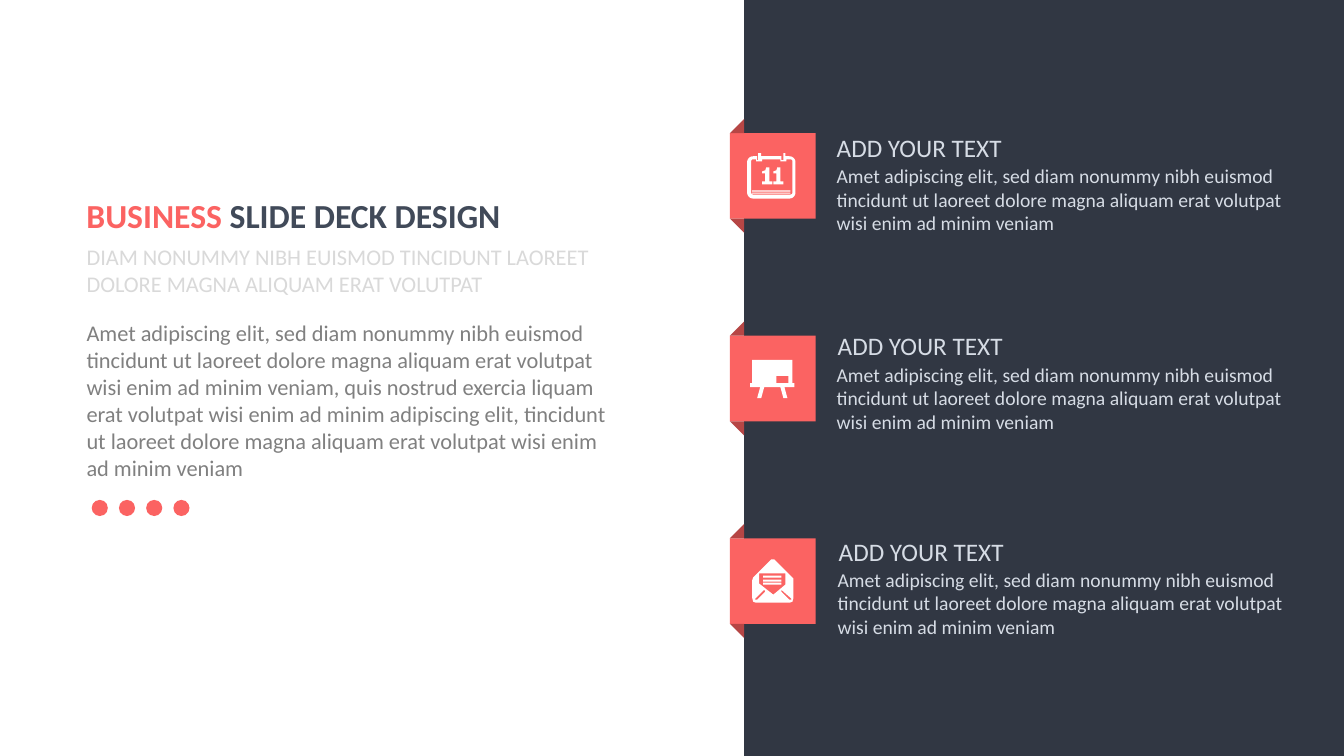
"""Build a split slide with an introduction and three ribbon items."""
from dataclasses import dataclass
from math import cos, radians, sin

from pptx import Presentation
from pptx import util as u
from pptx.dml.color import RGBColor
from pptx.enum import shapes, text
from pptx.shapes.autoshape import Shape
from pptx.slide import Slide

Point = tuple[float, float]
Contour = list[Point]

WHITE = RGBColor(0xFF, 0xFF, 0xFF)
CORAL = RGBColor(0xFB, 0x63, 0x62)
DARK_CORAL = RGBColor(0xB6, 0x46, 0x45)
NAVY = RGBColor(0x31, 0x37, 0x43)
SLATE = RGBColor(0x41, 0x4A, 0x59)
GRAY = RGBColor(0x80, 0x80, 0x80)
LIGHT_GRAY = RGBColor(0xD9, 0xD9, 0xD9)
PALE_BLUE = RGBColor(0xD6, 0xDC, 0xE5)

FONT = "Calibri"
RIBBON_LEFT, RIBBON_TOP, RIBBON_PITCH = 7.24, 1.32, 2.01
RIBBON_SIZE, FOLD_SIZE = 0.85, 0.14
DOT_COUNT, DOT_PITCH = 4, 0.27

SUBTITLE = "DIAM NONUMMY NIBH EUISMOD TINCIDUNT LAOREET DOLORE MAGNA ALIQUAM ERAT VOLUTPAT"
INTRO = (
    "Amet adipiscing elit, sed diam nonummy nibh euismod tincidunt ut laoreet dolore magna "
    "aliquam erat volutpat wisi enim ad minim veniam, quis nostrud exercia liquam erat volutpat "
    "wisi enim ad minim adipiscing elit, tincidunt ut laoreet dolore magna aliquam erat volutpat "
    "wisi enim ad minim veniam"
)
ITEM_HEADING = "ADD YOUR TEXT"
ITEM_BODY = (
    "Amet adipiscing elit, sed diam nonummy nibh euismod tincidunt ut laoreet dolore magna "
    "aliquam erat volutpat wisi enim ad minim veniam"
)


@dataclass(frozen=True)
class Span:
    """A stretch of text in one colour."""

    words: str
    color: RGBColor


@dataclass(frozen=True)
class Item:
    """A ribbon's text positions and the contours of its icon."""

    heading_at: Point
    body_at: Point
    icon: list[Contour]


def block(left: float, top: float, right: float, bottom: float) -> Contour:
    """Return the corners of a rectangle."""
    return [(left, top), (right, top), (right, bottom), (left, bottom)]


def rounded(left: float, top: float, right: float, bottom: float, radius: float, top_edge: Contour) -> Contour:
    """Return a rounded rectangle whose top edge takes extra points."""
    centers = block(left + radius, top + radius, right - radius, bottom - radius)
    corners = [
        [
            (x + radius * cos(radians(angle)), y + radius * sin(radians(angle)))
            for angle in range(180 + 90 * turn, 271 + 90 * turn, 15)
        ]
        for turn, (x, y) in enumerate(centers)
    ]
    return corners[0] + top_edge + corners[1] + corners[2] + corners[3]


def numeral_one(left: float) -> Contour:
    """Return the outline of the calendar's numeral one."""
    outline = [(0.04, 1.66), (0.07, 1.66), (0.07, 1.8), (0.1, 1.8), (0.1, 1.83), (0, 1.83),
               (0, 1.8), (0.03, 1.8), (0.03, 1.72), (0, 1.72), (0, 1.7), (0.03, 1.69)]
    return [(left + x, y) for x, y in outline]


CALENDAR = [
    rounded(7.41, 1.55, 7.89, 1.97, 0.06, [
        (7.51, 1.55), (7.51, 1.59), (7.52, 1.59), (7.52, 1.52), (7.55, 1.52), (7.55, 1.55),
        (7.75, 1.55), (7.75, 1.59), (7.77, 1.59), (7.77, 1.52), (7.79, 1.52), (7.79, 1.55)]),
    rounded(7.45, 1.58, 7.86, 1.93, 0.02, [
        (7.5, 1.58), (7.5, 1.6), (7.56, 1.6), (7.56, 1.58),
        (7.74, 1.58), (7.74, 1.6), (7.8, 1.6), (7.8, 1.58)]),
    *(numeral_one(left) for left in (7.56, 7.67)),
    *(block(7.46, top, 7.84, top + 0.01) for top in (1.89, 1.91)),
]
BOARD = [
    [(7.46, 3.57), (7.86, 3.57), (7.86, 3.8), (7.88, 3.8), (7.88, 3.84), (7.78, 3.84),
     (7.81, 3.95), (7.77, 3.95), (7.74, 3.84), (7.58, 3.84), (7.55, 3.95), (7.51, 3.95),
     (7.54, 3.84), (7.44, 3.84), (7.44, 3.8), (7.46, 3.8)],
    block(7.7, 3.73, 7.82, 3.8),
]
ENVELOPE = [
    [(7.64, 5.56), (7.65, 5.55), (7.68, 5.55), (7.69, 5.56), (7.85, 5.72), (7.87, 5.74),
     (7.87, 5.93), (7.86, 5.97), (7.83, 5.98), (7.5, 5.98), (7.47, 5.97), (7.46, 5.93),
     (7.46, 5.76), (7.47, 5.73)],
    [(7.53, 5.69), (7.79, 5.69), (7.79, 5.8), (7.67, 5.9), (7.53, 5.79)],
    *(block(7.57, top, 7.75, top + 0.02) for top in (5.71, 5.75, 5.78)),
    [(7.51, 5.95), (7.59, 5.87), (7.58, 5.85), (7.49, 5.94), (7.49, 5.95)],
    [(7.83, 5.95), (7.75, 5.87), (7.75, 5.85), (7.76, 5.86), (7.85, 5.94), (7.85, 5.95)],
]

ITEMS = [
    Item((8.2, 1.26), (8.2, 1.58), CALENDAR),
    Item((8.21, 3.23), (8.2, 3.55), BOARD),
    Item((8.22, 5.27), (8.21, 5.58), ENVELOPE),
]


def paint(shape: Shape, color: RGBColor) -> None:
    """Give a shape a flat fill without outline or shadow."""
    shape.shadow.inherit = False
    shape.fill.solid()
    shape.fill.fore_color.rgb = color
    shape.line.fill.background()


def add_figure(page: Slide, kind: shapes.MSO_SHAPE, at: Point, size: Point, color: RGBColor, turn: float = 0) -> None:
    """Draw a preset shape."""
    figure = page.shapes.add_shape(kind, *map(u.Inches, at + size))
    figure.rotation = turn
    paint(figure, color)


def add_icon(page: Slide, contours: list[Contour]) -> None:
    """Draw a white icon whose inner contours are cut out."""
    paths = [[(u.Inches(x), u.Inches(y)) for x, y in contour] for contour in contours]
    builder = page.shapes.build_freeform(*paths[0][0])
    for index, points in enumerate(paths):
        if index:
            builder.move_to(*points[0])
        builder.add_line_segments(points[1:], close=True)
    paint(builder.convert_to_shape(), WHITE)


def add_text(page: Slide, at: Point, size: Point, points: int, spans: list[Span],
             bold: bool = False, wrap: bool = True) -> None:
    """Write one paragraph of coloured spans."""
    box = page.shapes.add_textbox(*map(u.Inches, at + size))
    box.text_frame.word_wrap = wrap
    box.text_frame.auto_size = text.MSO_AUTO_SIZE.SHAPE_TO_FIT_TEXT
    para = box.text_frame.paragraphs[0]
    for span in spans:
        run = para.add_run()
        run.text = span.words
        run.font.name = FONT
        run.font.size = u.Pt(points)
        run.font.bold = bold
        run.font.color.rgb = span.color


def add_intro(page: Slide) -> None:
    """Write the left side with its row of dots."""
    add_text(page, (0.76, 2.36), (5.42, 0.64), 16, [Span(SUBTITLE, LIGHT_GRAY)])
    title = [Span("BUSINESS ", CORAL), Span("SLIDE DECK DESIGN", SLATE)]
    add_text(page, (0.76, 1.88), (4.84, 0.5), 24, title, bold=True)
    add_text(page, (0.76, 3.12), (5.42, 1.72), 16, [Span(INTRO, GRAY)])
    for index in range(DOT_COUNT):
        add_figure(page, shapes.MSO_SHAPE.OVAL, (0.91 + index * DOT_PITCH, 4.96), (0.16, 0.16), CORAL)


def add_item(page: Slide, item: Item, top: float) -> None:
    """Draw a folded ribbon with its icon and text."""
    add_figure(page, shapes.MSO_SHAPE.RECTANGLE, (RIBBON_LEFT, top), (RIBBON_SIZE, RIBBON_SIZE), CORAL)
    for fold_top, turn in ((top - FOLD_SIZE, 270), (top + RIBBON_SIZE, 180)):
        add_figure(page, shapes.MSO_SHAPE.RIGHT_TRIANGLE, (RIBBON_LEFT, fold_top),
                   (FOLD_SIZE, FOLD_SIZE), DARK_CORAL, turn)
    add_text(page, item.body_at, (4.77, 0.81), 14, [Span(ITEM_BODY, PALE_BLUE)])
    add_text(page, item.heading_at, (1.85, 0.4), 18, [Span(ITEM_HEADING, PALE_BLUE)], wrap=False)
    add_icon(page, item.icon)


def main() -> None:
    """Assemble and save the deck."""
    deck = Presentation()
    deck.slide_width, deck.slide_height = u.Inches(13.33), u.Inches(7.5)
    page = deck.slides.add_slide(deck.slide_layouts[6])
    add_intro(page)
    add_figure(page, shapes.MSO_SHAPE.RECTANGLE, (7.38, 0), (5.95, 7.5), NAVY)
    for index, item in enumerate(ITEMS):
        add_item(page, item, RIBBON_TOP + index * RIBBON_PITCH)
    deck.save("out.pptx")


if __name__ == "__main__":
    main()
